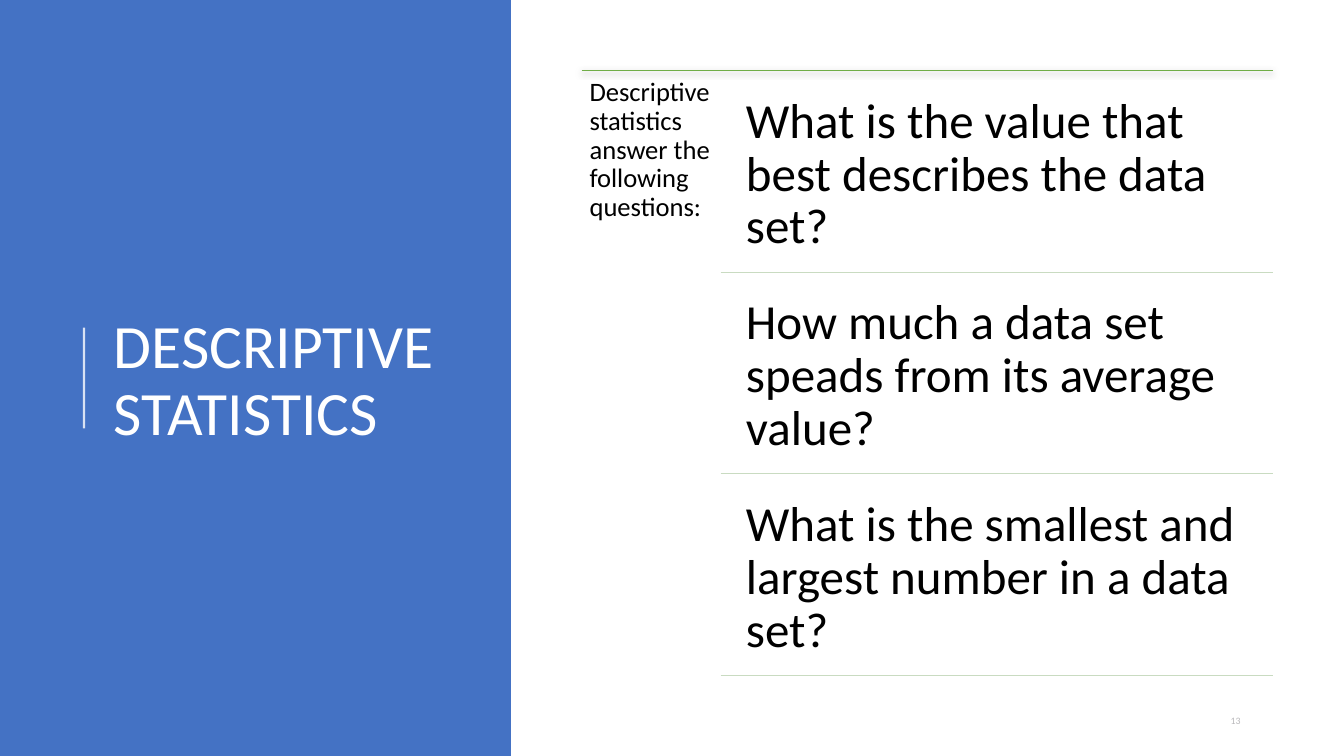
from lxml import etree
from pptx import Presentation
from pptx.dml.color import RGBColor
from pptx.enum import shapes, text
from pptx.oxml import ns
from pptx.util import Pt

TITLE = "DESCRIPTIVE STATISTICS"
INTRO = "Descriptive statistics answer the following questions:"
QUESTIONS = [
    "What is the value that best describes the data set?",
    "How much a data set speads from its average value?",
    "What is the smallest and largest number in a data set?",
]
SLIDE_NUMBER = "13"

BLUE = RGBColor(0x44, 0x72, 0xC4)
GREEN = RGBColor(0x70, 0xAD, 0x47)
PALE_GREEN = RGBColor(0xC9, 0xDB, 0xC1)
GREY = RGBColor(0xB9, 0xB8, 0xBB)
WHITE = RGBColor(0xFF, 0xFF, 0xFF)
BLACK = RGBColor(0, 0, 0)

SLIDE_W, SLIDE_H = 960, 540
PANEL_W = 365
LIST_LEFT, LIST_RIGHT, LIST_TOP = 415.4, 909.4, 50.4
RULE_LEFT, QUESTION_LEFT = 514.8, 522
ROW_STEP, ROW_GAP = 144, 7.2


def write(frame, words, size, color, insets, **formats):
    """Put one formatted paragraph into a text frame."""
    settings = {"word_wrap": True, "auto_size": text.MSO_AUTO_SIZE.NONE,
                "vertical_anchor": text.MSO_ANCHOR.TOP, **formats}
    sides = ("margin_left", "margin_top", "margin_right", "margin_bottom")
    settings.update(zip(sides, map(Pt, insets)))
    for name, value in settings.items():
        setattr(frame, name, value)
    paragraph = frame.paragraphs[0]
    paragraph.alignment = text.PP_ALIGN.LEFT
    paragraph.line_spacing = 0.9
    run = paragraph.add_run()
    run.text = words
    for name, value in {"name": "Calibri", "size": Pt(size)}.items():
        setattr(run.font, name, value)
    run.font.color.rgb = color


def add_text(slide, box, *content, **formats):
    """Add a text box at (left, top, width, height)."""
    frame = slide.shapes.add_textbox(*map(Pt, box)).text_frame
    write(frame, *content, **formats)


def add_rule(slide, start, end, color, width=0.5):
    """Draw a straight line and return it with its empty effect list."""
    rule = slide.shapes.add_connector(
        shapes.MSO_CONNECTOR.STRAIGHT, *map(Pt, start + end))
    rule.line.color.rgb = color
    rule.line.width = Pt(width)
    effects = etree.SubElement(rule._element.spPr, ns.qn("a:effectLst"))
    return rule, effects


def add_shadow(effects):
    """Give a line a soft shadow below it."""
    shadow = etree.SubElement(effects, ns.qn("a:outerShdw"), blurRad=str(Pt(4.5)),
                              dist=str(Pt(1.5)), dir="5400000", rotWithShape="0")
    black = etree.SubElement(shadow, ns.qn("a:srgbClr"), val=str(BLACK))
    etree.SubElement(black, ns.qn("a:alpha"), val="63000")


def add_title_panel(slide):
    """Fill the left side with the panel, the title and its accent line."""
    panel = slide.shapes.add_shape(
        shapes.MSO_SHAPE.RECTANGLE, 0, 0, Pt(PANEL_W), Pt(SLIDE_H))
    panel.shadow.inherit = False
    panel.fill.solid()
    panel.fill.fore_color.rgb = BLUE
    panel.line.fill.background()

    title = slide.shapes.title
    place = {"left": 74.2, "top": 56.2, "width": 265.7, "height": 433.4}
    for name, value in place.items():
        setattr(title, name, Pt(value))
    write(title.text_frame, TITLE, 44, WHITE, (7.2, 3.6, 7.2, 3.6),
          vertical_anchor=text.MSO_ANCHOR.MIDDLE)
    panel._element.addnext(title._element)

    accent, _ = add_rule(slide, (60, 306), (60, 234), WHITE, 1.5)
    tint = accent._element.spPr.find(".//" + ns.qn("a:srgbClr"))
    etree.SubElement(tint, ns.qn("a:alpha"), val="80000")


def add_questions(slide):
    """Lay out the introduction and the ruled rows of questions."""
    _, effects = add_rule(
        slide, (LIST_LEFT, LIST_TOP), (LIST_RIGHT, LIST_TOP), GREEN)
    add_shadow(effects)
    add_text(slide, (LIST_LEFT, LIST_TOP, 98.7, 438.5), INTRO, 19, BLACK, [5.8] * 4)
    for row, question in enumerate(QUESTIONS):
        top = LIST_TOP + row * ROW_STEP
        bottom = top + ROW_STEP
        box = (QUESTION_LEFT, top + ROW_GAP,
               LIST_RIGHT - QUESTION_LEFT, ROW_STEP - ROW_GAP)
        add_text(slide, box, question, 35, BLACK, [10.8] * 4)
        add_rule(slide, (RULE_LEFT, bottom), (LIST_RIGHT, bottom), PALE_GREEN)


prs = Presentation()
prs.slide_width, prs.slide_height = Pt(SLIDE_W), Pt(SLIDE_H)
slide = prs.slides.add_slide(prs.slide_layouts.get_by_name("Title Only"))
add_text(slide, (879.1, 507.6, 33.8, 15.8), SLIDE_NUMBER, 7, GREY,
         (0, 3.6, 7.2, 3.6), vertical_anchor=text.MSO_ANCHOR.MIDDLE)
add_title_panel(slide)
add_questions(slide)
prs.save("out.pptx")
